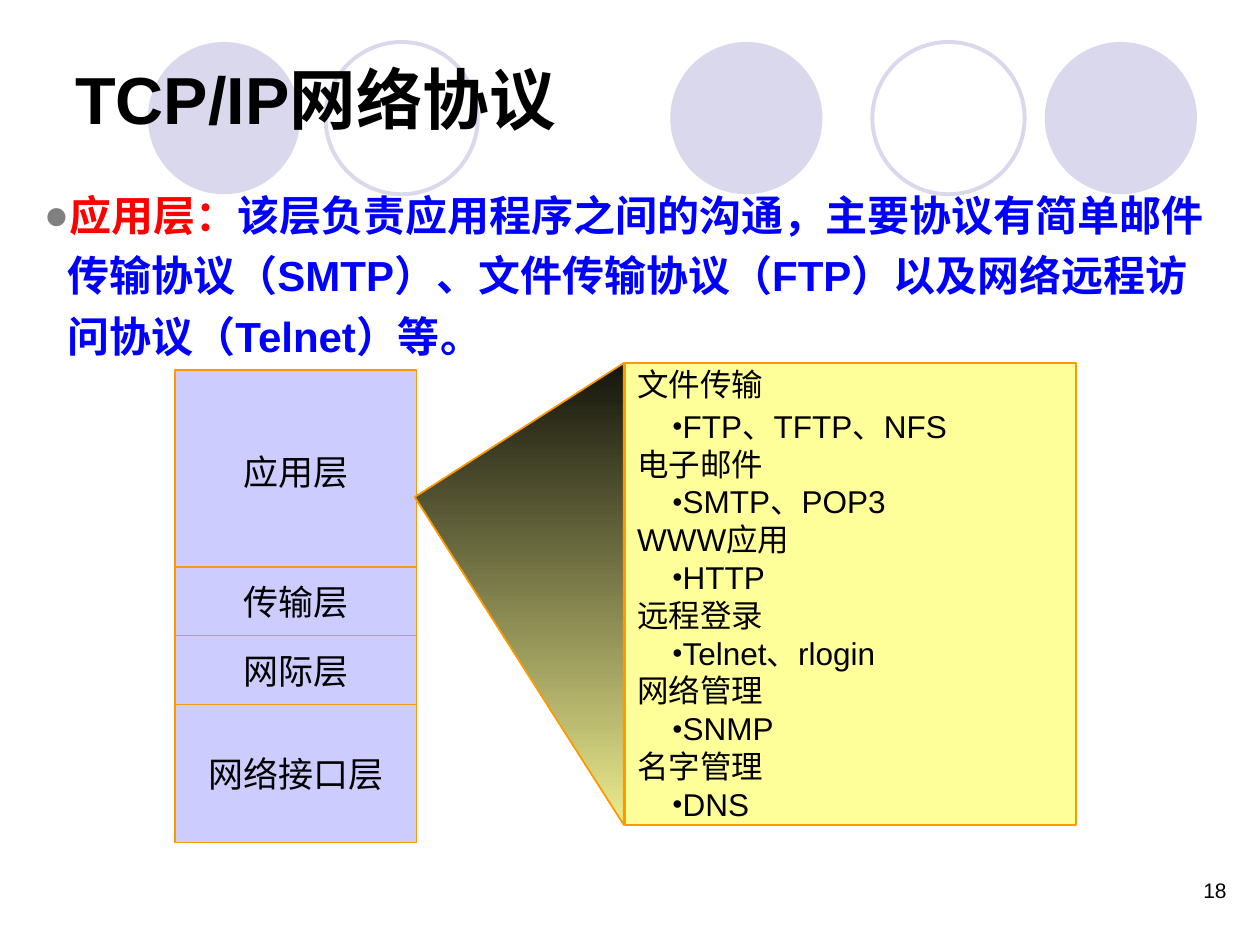
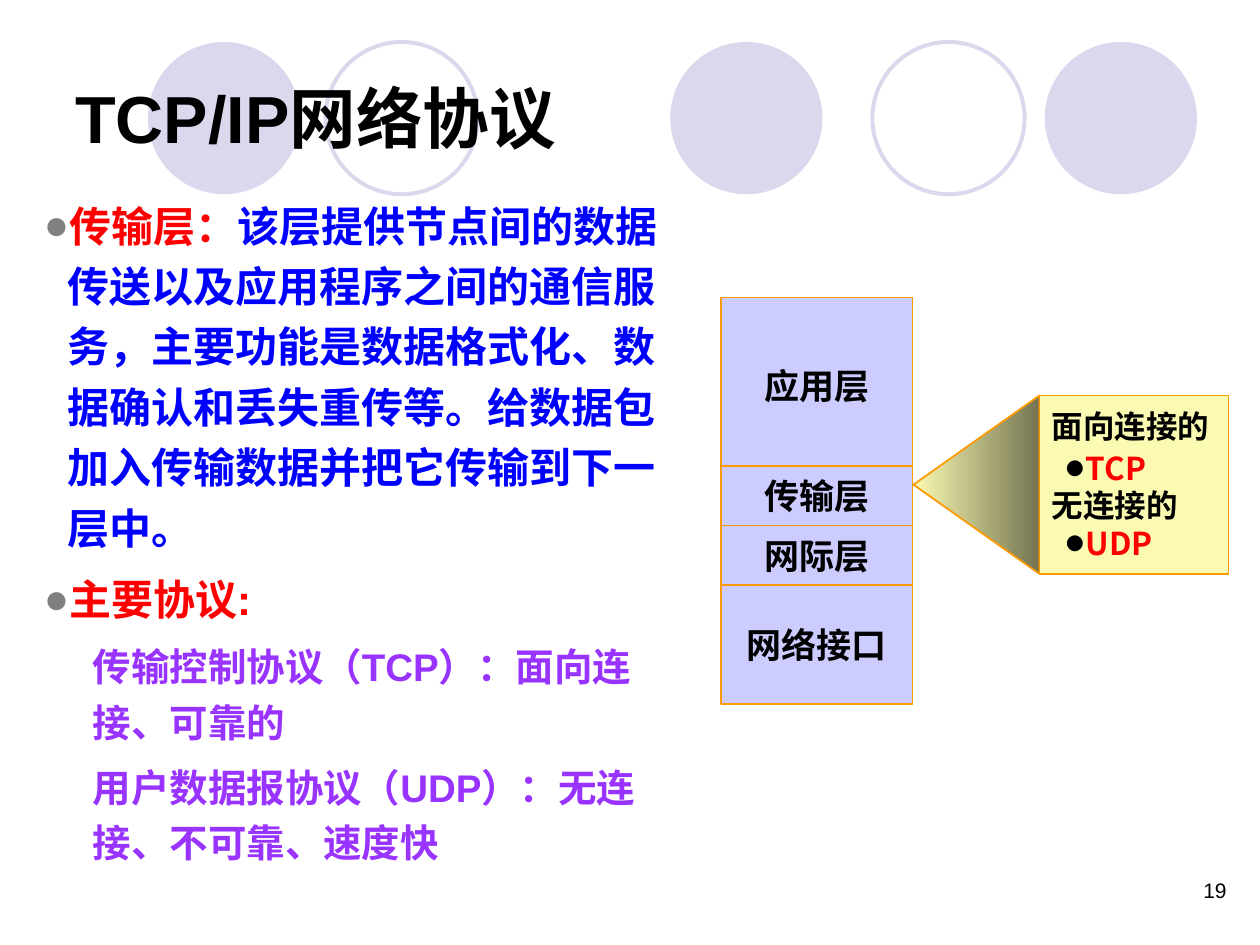
from lxml import etree
from pptx import Presentation
from pptx.dml.color import RGBColor
from pptx.enum.shapes import MSO_SHAPE
from pptx.enum.text import MSO_ANCHOR, PP_ALIGN
from pptx.oxml.ns import qn
from pptx.util import Pt

OVAL, RECTANGLE = MSO_SHAPE.OVAL, MSO_SHAPE.RECTANGLE
TOP, MIDDLE = MSO_ANCHOR.TOP, MSO_ANCHOR.MIDDLE
LEFT, CENTER, RIGHT = PP_ALIGN.LEFT, PP_ALIGN.CENTER, PP_ALIGN.RIGHT

LATIN, CHINESE = "Arial", "Noto Sans CJK SC"
BLACK, RED, BLUE, PURPLE, GRAY = "000000", "FF0000", "0000FF", "9933FF", "808080"
LILAC, LAYER_FILL, ORANGE = "D9D8EC", "CCCCFF", "FF9900"
BRIGHT_YELLOW, PALE_YELLOW = "FFFF99", "FAFAB2"

CIRCLE_TOP, CIRCLE_SIZE = 24, 87
CIRCLES = [(383, True), (597, True), (84.5, True), (498.5, False), (186, False)]

BODY = {"line_spacing": 1.2, "space_before": Pt(3), "space_after": Pt(3)}
SUB_BODY = {"line_spacing": 1.2, "space_before": Pt(2.8), "space_after": Pt(2.8)}


def color(hex_string):
    return RGBColor.from_string(hex_string)


def set_attributes(target, values):
    for name, value in values.items():
        setattr(target, name, value)


class Deck:
    """Holds the shared style and the slide being filled."""

    def __init__(self):
        self.presentation = Presentation()
        self.presentation.slide_width = Pt(720)
        self.presentation.slide_height = Pt(540)
        self.slide = None

    def new_slide(self, title, title_height, number):
        self.slide = self.presentation.slides.add_slide(self.presentation.slide_layouts[6])
        for left, filled in CIRCLES:
            self.shape(OVAL, left, CIRCLE_TOP, CIRCLE_SIZE, CIRCLE_SIZE,
                       fill=LILAC if filled else None,
                       line=None if filled else LILAC, line_width=2.25)
        title_frame = self.text_box(36, 21.6, 648, title_height, MIDDLE)
        self.paragraph(title_frame, [(title, BLACK)], 38, bold=True)
        number_frame = self.text_box(540, 498, 168, 36)
        self.paragraph(number_frame, [(number, BLACK)], 12, {"alignment": RIGHT})

    def paint(self, shape, fill, line, line_width):
        shape.shadow.inherit = False
        if fill:
            shape.fill.solid()
            shape.fill.fore_color.rgb = color(fill)
        else:
            shape.fill.background()
        if line:
            shape.line.color.rgb = color(line)
            shape.line.width = Pt(line_width)
        else:
            shape.line.fill.background()

    def shape(self, kind, left, top, width, height, fill=None, line=ORANGE, line_width=1):
        shape = self.slide.shapes.add_shape(kind, Pt(left), Pt(top), Pt(width), Pt(height))
        self.paint(shape, fill, line, line_width)
        set_attributes(shape.text_frame, {"word_wrap": True, "vertical_anchor": MIDDLE})
        return shape

    def text_box(self, left, top, width, height, anchor=TOP):
        box = self.slide.shapes.add_textbox(Pt(left), Pt(top), Pt(width), Pt(height))
        set_attributes(box.text_frame, {"word_wrap": True, "vertical_anchor": anchor})
        return box.text_frame

    def paragraph(self, frame, runs, size, layout=None, bold=False, font=LATIN,
                  margin=0, hanging=0, bullet=None):
        """Add a paragraph of (text, colour) runs; bullet is (colour, percent of text size)."""
        first = not frame.paragraphs[0].runs
        paragraph = frame.paragraphs[0] if first else frame.add_paragraph()
        set_attributes(paragraph, {"alignment": LEFT, **(layout or {})})
        if first:
            paragraph.space_before = Pt(0)
        properties = paragraph._p.get_or_add_pPr()
        properties.set("marL", str(Pt(margin)))
        properties.set("indent", str(Pt(-hanging)))
        if bullet:
            bullet_color, percent = bullet
            holder = etree.SubElement(properties, qn("a:buClr"))
            etree.SubElement(holder, qn("a:srgbClr"), val=bullet_color)
            etree.SubElement(properties, qn("a:buSzPct"), val=str(percent * 1000))
            etree.SubElement(properties, qn("a:buFont"), typeface=font)
            etree.SubElement(properties, qn("a:buChar"), char="●")
        for text, text_color in runs:
            run = paragraph.add_run()
            run.text = text
            set_attributes(run.font, {"name": font, "size": Pt(size), "bold": bold})
            run.font.color.rgb = color(text_color)
            latin = run.font._element.find(qn("a:latin"))
            latin.addnext(etree.Element(qn("a:ea"), typeface=CHINESE))

    def body_point(self, frame, *runs):
        self.paragraph(frame, runs, 24, BODY, bold=True, margin=13.5, hanging=13.5,
                       bullet=(GRAY, 100))

    def layer_stack(self, left, top, width, unit, names, **text_style):
        """Stack four layers; the second one covers the foot of the tall first one."""
        overlap = 4
        for index, (name, units) in enumerate(zip(names, (2.95, 1, 1, 2))):
            height = units * unit
            layer = self.shape(RECTANGLE, left, top, width, height, LAYER_FILL)
            self.paragraph(layer.text_frame, [(name, BLACK)], 20,
                           {"alignment": CENTER}, **text_style)
            top += height - (overlap if index == 0 else 0)

    def protocol_panel(self, left, top, width, height, fill, services, item_color,
                       margin, hanging, **text_style):
        frame = self.shape(RECTANGLE, left, top, width, height, fill).text_frame
        for index, (service, protocols) in enumerate(services):
            self.paragraph(frame, [(service, BLACK)], 18, **text_style)
            gap = {"space_before": Pt(2 if index == 0 else 0)}
            self.paragraph(frame, [(protocols, item_color)], 18, gap, margin=margin,
                           hanging=hanging, bullet=(BLACK, 56), **text_style)

    def wedge(self, tip, right, top, bottom, gradient, angle):
        """Draw the triangle that opens from a layer onto its panel."""
        builder = self.slide.shapes.build_freeform(Pt(tip[0]), Pt(tip[1]))
        builder.add_line_segments([(Pt(right), Pt(top)), (Pt(right), Pt(bottom))], close=True)
        shape = builder.convert_to_shape()
        self.paint(shape, None, ORANGE, 1)
        shape.fill.gradient()
        shape.fill.gradient_angle = angle
        for stop, stop_color in zip(shape.fill.gradient_stops, gradient):
            stop.color.rgb = color(stop_color)


def application_layer_slide(deck):
    deck.new_slide("TCP/IP网络协议", 68.4, "18")
    body = deck.text_box(18, 99, 690, 399)
    deck.body_point(body, ("应用层：", RED),
                    ("该层负责应用程序之间的沟通，主要协议有简单邮件传输协议（SMTP）、"
                     "文件传输协议（FTP）以及网络远程访问协议（Telnet）等。", BLUE))
    deck.layer_stack(100, 211.6, 138, 39.4, ("应用层", "传输层", "网际层", "网络接口层"))
    services = [
        ("文件传输", "FTP、TFTP、NFS"),
        ("电子邮件", "SMTP、POP3"),
        ("WWW应用", "HTTP"),
        ("远程登录", "Telnet、rlogin"),
        ("网络管理", "SNMP"),
        ("名字管理", "DNS"),
    ]
    deck.protocol_panel(357, 207.4, 258, 264, BRIGHT_YELLOW, services, BLACK, 26, 6)
    deck.wedge((237, 284), 356.5, 207.4, 471.4, ("14140C", "EBEB8D"), 270)


def transport_layer_slide(deck):
    deck.new_slide("TCP/IP网络协议", 90, "19")
    body = deck.text_box(18, 105, 370, 406)
    deck.body_point(body, ("传输层：", RED),
                    ("该层提供节点间的数据传送以及应用程序之间的通信服务，主要功能是数据格式化、"
                     "数据确认和丢失重传等。给数据包加入传输数据并把它传输到下一层中。", BLUE))
    deck.body_point(body, ("主要协议:", RED))
    for protocol in ("传输控制协议（TCP）：面向连接、可靠的",
                     "用户数据报协议（UDP）：无连接、不可靠、速度快"):
        deck.paragraph(body, [(protocol, PURPLE)], 22, SUB_BODY, bold=True, margin=28)
    text_style = {"bold": True, "font": CHINESE}
    deck.layer_stack(412, 170, 109.5, 34, ("应用层", "传输层", "网际层", "网络接口"),
                     **text_style)
    deck.wedge((522, 277), 594, 226, 328, (PALE_YELLOW, "747452"), 0)
    deck.protocol_panel(594, 226, 108, 102, PALE_YELLOW,
                        [("面向连接的", "TCP"), ("无连接的", "UDP")], RED, 19.5, 11,
                        **text_style)


def main():
    deck = Deck()
    application_layer_slide(deck)
    transport_layer_slide(deck)
    deck.presentation.save("out.pptx")


if __name__ == "__main__":
    main()
